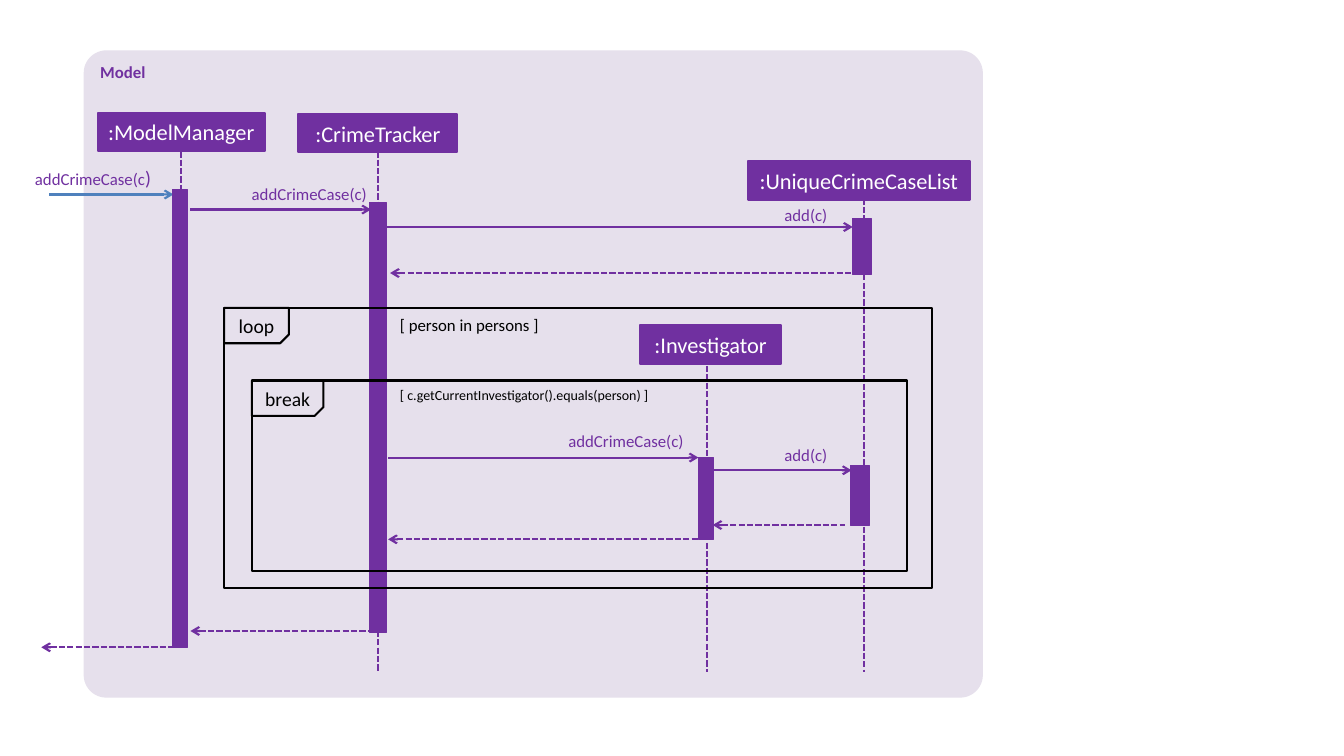
"""Build a sequence diagram of adding a crime case to the model."""
from lxml.etree import SubElement
from pptx import Presentation
from pptx.dml.color import RGBColor
from pptx.enum.dml import MSO_LINE
from pptx.enum.shapes import MSO_CONNECTOR, MSO_SHAPE
from pptx.enum.text import MSO_ANCHOR, PP_ALIGN
from pptx.oxml.ns import qn
from pptx.util import Cm, Pt

COLOURS = {
    "purple": "7030A0",
    "panel": "E6E0EC",
    "blue": "4F81BD",
    "black": "000000",
    "white": "FFFFFF",
}
RGB = {name: RGBColor.from_string(value) for name, value in COLOURS.items()}


def style(shape, fill=None, line=None, width=1.5):
    """Set fill and outline, leaving out those not given."""
    shape.shadow.inherit = False
    if fill:
        shape.fill.solid()
        shape.fill.fore_color.rgb = RGB[fill]
    else:
        shape.fill.background()
    if line:
        shape.line.color.rgb = RGB[line]
        shape.line.width = Pt(width)
    else:
        shape.line.fill.background()


def write(shape, text, size, colour, align=PP_ALIGN.CENTER, anchor=MSO_ANCHOR.MIDDLE):
    """Write one paragraph into a shape and return it."""
    frame = shape.text_frame
    frame.vertical_anchor = anchor
    para = frame.paragraphs[0]
    para.add_run().text = text
    para.alignment = align
    para.font.name = "Calibri"
    para.font.size = Pt(size)
    para.font.color.rgb = RGB[colour]
    return para


deck = Presentation()
deck.slide_width, deck.slide_height = Cm(33.87), Cm(19.05)
page = deck.slides.add_slide(deck.slide_layouts[6])
shapes = page.shapes

panel = shapes.add_shape(MSO_SHAPE.ROUNDED_RECTANGLE, Cm(2.11), Cm(1.27), Cm(22.66), Cm(16.31))
panel.adjustments[0] = 0.035
style(panel, "panel")
title = write(panel, "Model", 12, "purple", PP_ALIGN.LEFT, MSO_ANCHOR.TOP)
title.font.bold = True

lifelines = [(4.57, 3.81, 8.26), (9.53, 3.81, 16.94), (21.77, 5, 16.94), (17.81, 9.22, 16.94)]
calls = [
    (1.24, 4.37, 4.9, "blue"),
    (4.8, 9.35, 5.28, "purple"),
    (9.73, 21.49, 5.72, "purple"),
    (9.78, 17.6, 11.53, "purple"),
    (17.98, 21.46, 11.85, "purple"),
]
returns = [
    (9.83, 21.49, 6.88),
    (17.96, 21.29, 13.23),
    (9.78, 17.6, 13.59),
    (4.8, 9.35, 15.9),
    (1.04, 4.37, 16.31),
]
lines = [(x, top, x, bottom, "purple", True, None) for x, top, bottom in lifelines]
lines += [(left, y, right, y, colour, False, "a:tailEnd") for left, right, y, colour in calls]
lines += [(left, y, right, y, "purple", True, "a:headEnd") for left, right, y in returns]
for x1, y1, x2, y2, colour, dashed, arrow in lines:
    link = shapes.add_connector(MSO_CONNECTOR.STRAIGHT, Cm(x1), Cm(y1), Cm(x2), Cm(y2))
    link.line.color.rgb = RGB[colour]
    link.line.width = Pt(1.5)
    if dashed:
        link.line.dash_style = MSO_LINE.SQUARE_DOT
    if arrow:
        SubElement(link.line._get_or_add_ln(), qn(arrow), type="arrow")
    SubElement(link._element.spPr, qn("a:effectLst"))

activations = [
    (4.34, 4.78, 0.38, 11.53),
    (9.32, 5.11, 0.41, 10.82),
    (21.49, 5.51, 0.46, 1.4),
    (17.6, 11.53, 0.38, 2.06),
    (21.44, 11.73, 0.46, 1.52),
]
for place in activations:
    bar = shapes.add_shape(MSO_SHAPE.RECTANGLE, *map(Cm, place))
    style(bar, "purple", "purple", 0.5)

participants = [
    (":ModelManager", 2.46, 2.84, 4.22),
    (":CrimeTracker", 7.52, 2.87, 4.01),
    (":UniqueCrimeCaseList", 18.85, 4.06, 5.59),
    (":Investigator", 16.13, 8.2, 3.56),
]
for name, left, top, width in participants:
    box = shapes.add_shape(MSO_SHAPE.RECTANGLE, Cm(left), Cm(top), Cm(width), Cm(0.97))
    style(box, "purple", "purple")
    write(box, name, 16, "white")
    box.text_frame.word_wrap = False

fragments = [
    ("loop", 5.65, 7.76, 17.83, 7.06, 1.63),
    ("break", 6.35, 9.59, 16.51, 4.8, 1.8),
]
tab_height, notch = 0.89, 0.22
for operator, left, top, width, height, tab_width in fragments:
    frame = shapes.add_shape(MSO_SHAPE.RECTANGLE, Cm(left), Cm(top), Cm(width), Cm(height))
    style(frame, line="black")
    right, bottom = left + tab_width, top + tab_height
    outline = [(right - notch, bottom), (right, bottom - notch), (right, top), (left, top)]
    builder = shapes.build_freeform(Cm(left), Cm(bottom))
    builder.add_line_segments([(Cm(x), Cm(y)) for x, y in outline])
    tab = builder.convert_to_shape()
    style(tab, line="black")
    write(tab, operator, 14, "black")

labels = [
    ("addCrimeCase(c", -0.61, 4.17, 4.42, 12, "purple", PP_ALIGN.RIGHT),
    ("addCrimeCase(c)", 4.47, 4.62, 4.78, 12, "purple", PP_ALIGN.RIGHT),
    ("add(c)", 18.59, 5.16, 2.26, 12, "purple", PP_ALIGN.RIGHT),
    ("addCrimeCase(c)", 12.45, 10.85, 4.78, 12, "purple", PP_ALIGN.RIGHT),
    ("add(c)", 18.59, 11.2, 2.26, 12, "purple", PP_ALIGN.RIGHT),
    ("[ person in persons ]", 10.08, 7.92, 3.99, 12, "black", PP_ALIGN.LEFT),
    ("[ c.getCurrentInvestigator().equals(person) ]", 10.08, 9.73, 7.54, 10, "black", PP_ALIGN.LEFT),
]
for text, left, top, width, size, colour, align in labels:
    label = shapes.add_textbox(Cm(left), Cm(top), Cm(width), Cm(0.51))
    frame = label.text_frame
    frame.word_wrap = True
    frame.margin_left = frame.margin_top = frame.margin_right = frame.margin_bottom = 0
    para = write(label, text, size, colour, align, MSO_ANCHOR.TOP)
    if not text.endswith((")", "]")):
        span = para.add_run()
        span.text = ")"
        span.font.size = Pt(14)

deck.save("out.pptx")
